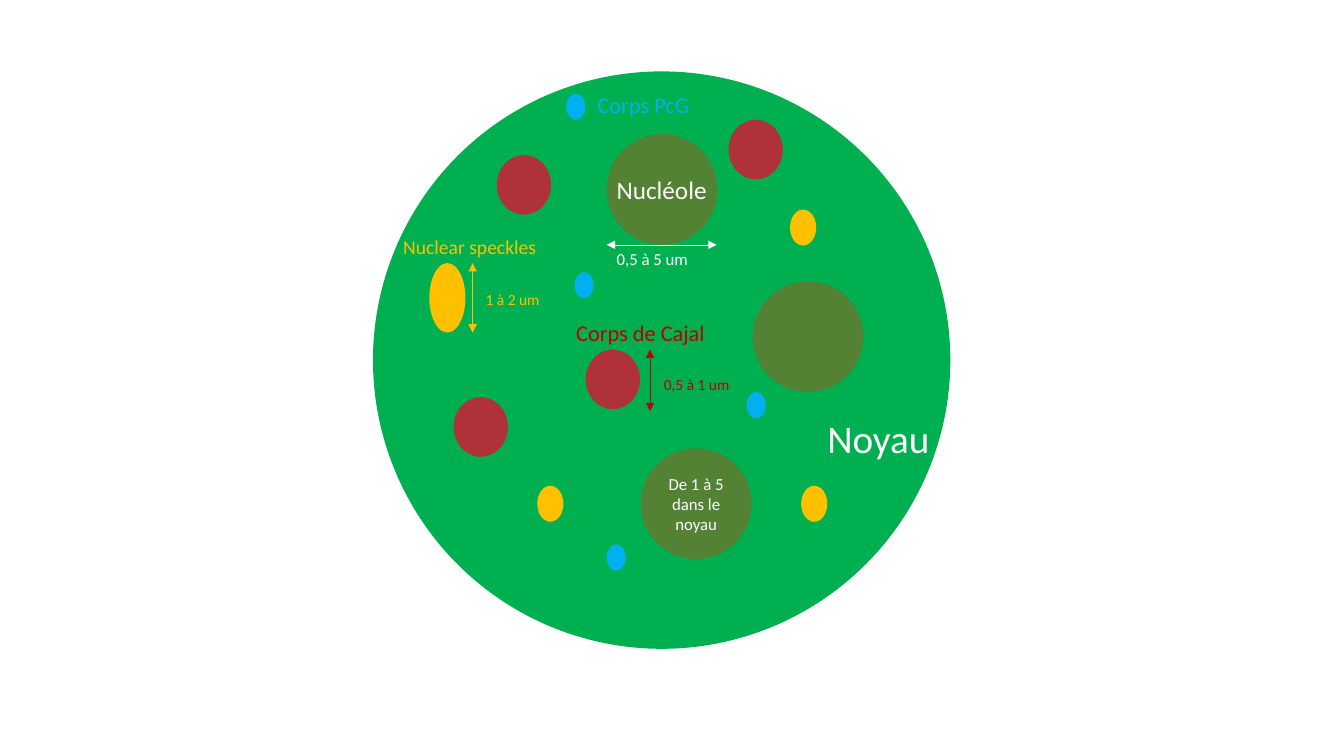
import lxml.etree
import pptx
import pptx.dml.color
import pptx.enum.shapes
import pptx.enum.text
import pptx.oxml.ns
import pptx.util
from dataclasses import dataclass

Cm = pptx.util.Cm


@dataclass(frozen=True)
class Theme:
    font: str = "Calibri"
    white: str = "FFFFFF"
    nucleus: str = "00B050"
    nucleolus: str = "548235"
    speckle: str = "FFC000"
    cajal: str = "AF3139"
    cajal_text: str = "C00000"
    polycomb: str = "00B0F0"
    title_size: int = 28
    large_size: int = 18
    body_size: int = 16
    speckle_size: int = 14
    note_size: int = 12
    measure_size: int = 11
    arrow_width: float = 0.5


THEME = Theme()

# Lengths in cm. Each family: colour, (width, height), top-left corners
BODIES = [
    (THEME.nucleus, (14.55, 14.55), [(9.4, 1.8)]),
    (THEME.nucleolus, (2.79, 2.79), [(15.29, 3.38), (18.97, 7.09), (16.15, 11.3)]),
    (THEME.speckle, (0.91, 1.75), [(10.82, 6.63)]),
    (THEME.speckle, (0.66, 0.91), [(19.91, 5.28), (13.54, 12.24), (20.19, 12.24)]),
    (THEME.cajal, (1.37, 1.5),
     [(14.76, 8.81), (18.36, 3.02), (11.43, 10.01), (12.52, 3.91)]),
    (THEME.polycomb, (0.48, 0.66),
     [(14.27, 2.36), (15.29, 13.72), (18.82, 9.88), (14.48, 6.86)]),
]
NOTE_POSITION = (16.15, 11.3)
NOTE = "De 1 à 5 dans le noyau"

# Text, (left, top, width, height), size, colour
LABELS = [
    ("Noyau", (20.6, 10.31, 3.78, 1.45), THEME.title_size, THEME.white),
    ("Nucléole", (15.29, 4.27, 3.23, 1.02), THEME.large_size, THEME.white),
    ("0,5 à 5 um", (15.29, 6.15, 3.23, 0.76), THEME.note_size, THEME.white),
    ("Nuclear speckles", (9.91, 5.79, 3.99, 0.86), THEME.speckle_size, THEME.speckle),
    ("1 à 2 um", (11.99, 7.19, 2.29, 0.74), THEME.measure_size, THEME.speckle),
    ("Corps de Cajal", (14.27, 7.92, 4.09, 0.94), THEME.body_size, THEME.cajal_text),
    ("0,5 à 1 um", (16.48, 9.32, 2.29, 0.74), THEME.measure_size, THEME.cajal_text),
    ("Corps PcG", (14.81, 2.18, 3.53, 0.94), THEME.body_size, THEME.polycomb),
]

# Start x, start y, end x, end y, colour
MEASURES = [
    (15.29, 6.17, 18.06, 6.17, THEME.white),
    (11.91, 6.63, 11.91, 8.38, THEME.speckle),
    (16.38, 8.81, 16.38, 10.36, THEME.cajal_text),
]


def rgb(colour):
    return pptx.dml.color.RGBColor.from_string(colour)


def write_text(shape, text, *, size, colour, centred=False):
    frame = shape.text_frame
    frame.word_wrap = True
    if centred:
        frame.vertical_anchor = pptx.enum.text.MSO_ANCHOR.MIDDLE
    paragraph = frame.paragraphs[0]
    alignment = pptx.enum.text.PP_ALIGN
    paragraph.alignment = alignment.CENTER if centred else alignment.LEFT
    run = paragraph.add_run()
    run.text = text
    run.font.name = THEME.font
    run.font.size = pptx.util.Pt(size)
    run.font.color.rgb = rgb(colour)


def add_body(slide, position, size, colour):
    shape = slide.shapes.add_shape(
        pptx.enum.shapes.MSO_SHAPE.OVAL, *map(Cm, position + size))
    shape.shadow.inherit = False
    shape.fill.solid()
    shape.fill.fore_color.rgb = rgb(colour)
    shape.line.fill.background()
    return shape


def add_label(slide, text, box, size, colour):
    shape = slide.shapes.add_textbox(*map(Cm, box))
    write_text(shape, text, size=size, colour=colour)
    shape.text_frame.auto_size = pptx.enum.text.MSO_AUTO_SIZE.SHAPE_TO_FIT_TEXT


def add_measure(slide, ends, colour):
    """Draw a line with an arrowhead at both ends."""
    connector = slide.shapes.add_connector(
        pptx.enum.shapes.MSO_CONNECTOR.STRAIGHT, *map(Cm, ends))
    connector.line.color.rgb = rgb(colour)
    connector.line.width = pptx.util.Pt(THEME.arrow_width)
    qn = pptx.oxml.ns.qn
    properties = connector._element.find(qn("p:spPr"))
    line = properties.find(qn("a:ln"))
    for tag in ("a:headEnd", "a:tailEnd"):
        lxml.etree.SubElement(line, qn(tag), type="triangle")
    lxml.etree.SubElement(properties, qn("a:effectLst"))


def main():
    presentation = pptx.Presentation()
    presentation.slide_width = Cm(33.87)
    presentation.slide_height = Cm(19.05)
    slide = presentation.slides.add_slide(presentation.slide_layouts[6])

    for colour, size, positions in BODIES:
        for position in positions:
            body = add_body(slide, position, size, colour)
            if position == NOTE_POSITION:
                write_text(body, NOTE, size=THEME.note_size,
                           colour=THEME.white, centred=True)
    for *ends, colour in MEASURES:
        add_measure(slide, ends, colour)
    for label in LABELS:
        add_label(slide, *label)

    presentation.save("out.pptx")


if __name__ == "__main__":
    main()
